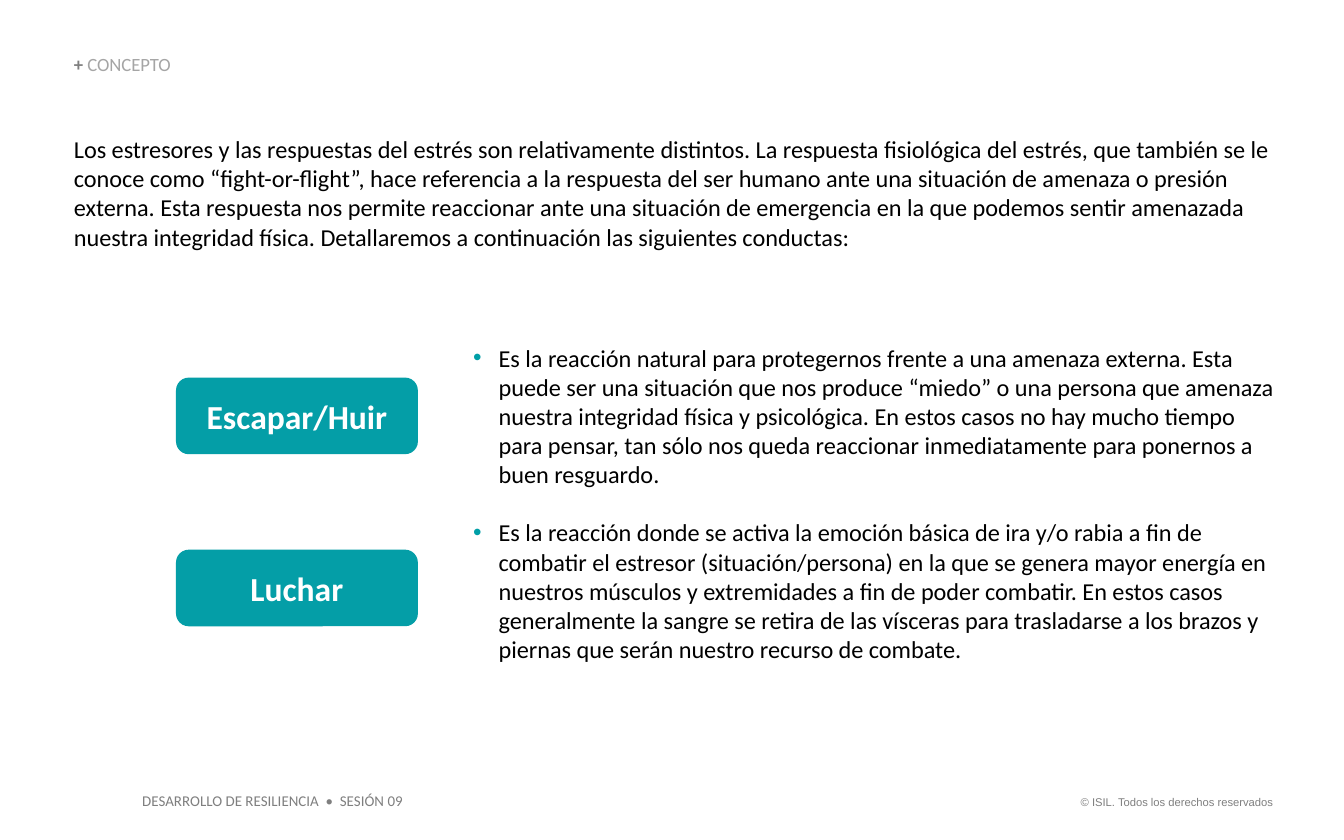
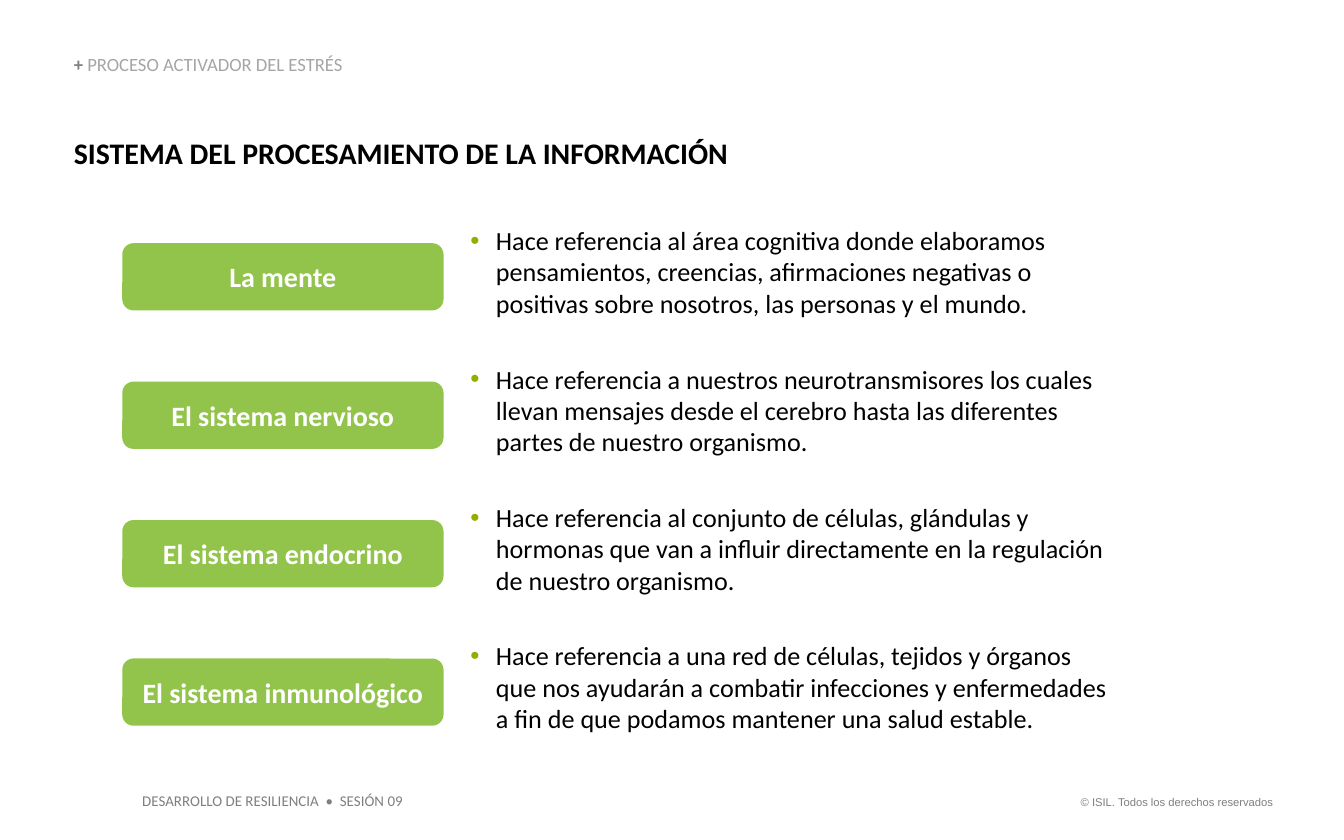
"""Build two slides on stress responses and information processing."""
from dataclasses import dataclass

from lxml import etree
from pptx import Presentation
from pptx import util as u
from pptx.dml.color import RGBColor
from pptx.enum import shapes, text
from pptx.oxml.ns import qn

PX = u.Inches(1) // 100
TITLE_AND_CONTENT, COMPARISON = 1, 4


@dataclass(frozen=True)
class Theme:
    """Colours, fonts and type sizes in points."""
    font: str = "Calibri"
    legal_font: str = "Arial"
    ink: str = "000000"
    white: str = "FFFFFF"
    grey: str = "7F7F7F"
    light_grey: str = "A5A5A5"
    teal: str = "049EA7"
    teal_bullet: str = "009FA7"
    green: str = "92C34B"
    green_bullet: str = "96AD00"
    legal: int = 6
    footer: int = 8
    header: int = 10
    body: int = 13
    list: int = 14
    label: int = 15
    heading: int = 16
    big_label: int = 18


class SlideBuilder:
    """Holds the theme and the current page, and adds elements to it."""

    def __init__(self, deck, theme):
        """Keep the deck and its theme."""
        self.deck, self.theme = deck, theme
        self.page, self.bodies = None, None

    def new_page(self, topic, layout):
        """Start a page with its header and footers."""
        self.page = self.deck.slides.add_slide(self.deck.slide_layouts[layout])
        title, *bodies = self.page.placeholders
        self.bodies = iter(bodies)
        self.header(title, topic)
        self.textbox((788, 587, 169, 20), "© ISIL. Todos los derechos reservados",
                     self.theme.legal, self.theme.grey, font=self.theme.legal_font,
                     align=text.PP_ALIGN.RIGHT, inset=(10, 5))
        self.textbox((96, 584, 214, 24), "DESARROLLO DE RESILIENCIA  •  SESIÓN 09",
                     self.theme.footer, self.theme.grey, inset=(10, 5))

    def place(self, box, area):
        """Move a box to an area given in px."""
        box.left, box.top, box.width, box.height = (n * PX for n in area)

    def frame(self, box, anchor=text.MSO_ANCHOR.TOP, inset=(0, 0),
              fit=text.MSO_AUTO_SIZE.SHAPE_TO_FIT_TEXT):
        """Set wrapping, anchor and margins, and return the text frame."""
        frame = box.text_frame
        frame.word_wrap, frame.auto_size, frame.vertical_anchor = True, fit, anchor
        frame.margin_left = frame.margin_right = inset[0] * PX
        frame.margin_top = frame.margin_bottom = inset[1] * PX
        return frame

    def style(self, para, size, color, bold=False, font=None):
        """Format every run of a paragraph."""
        for span in para.runs:
            span.font.name = font or self.theme.font
            span.font.size, span.font.bold = u.Pt(size), bold
            span.font.color.rgb = RGBColor.from_string(color)

    def header(self, title, topic):
        """Write the topic after a bold plus sign in the title."""
        self.place(title, (55, 41, 266, 15))
        para = self.frame(title, text.MSO_ANCHOR.BOTTOM).paragraphs[0]
        para.text = "+ "
        para.alignment, para.line_spacing = text.PP_ALIGN.LEFT, 0.9
        para.add_run().text = topic
        self.style(para, self.theme.header, self.theme.light_grey)
        plus = para.runs[0].font
        plus.bold, plus.color.rgb = True, RGBColor.from_string(self.theme.grey)

    def textbox(self, area, words, size, color, bold=False, font=None,
                align=text.PP_ALIGN.LEFT, inset=(0, 0)):
        """Add one paragraph of plain text."""
        box = self.page.shapes.add_textbox(*(n * PX for n in area))
        frame = self.frame(box, inset=inset)
        frame.text = words
        frame.paragraphs[0].alignment = align
        self.style(frame.paragraphs[0], size, color, bold, font)

    def bullets(self, area, items, size, color, gap=0):
        """Fill the next body placeholder with a bulleted list."""
        box = next(self.bodies)
        self.place(box, area)
        frame = self.frame(box)
        frame.text = "\n".join(items)
        for index, para in enumerate(frame.paragraphs):
            props = para._p.get_or_add_pPr()
            props.set("marL", str(19 * PX))
            props.set("indent", str(-19 * PX))
            tint = etree.SubElement(props, qn("a:buClr"))
            etree.SubElement(tint, qn("a:srgbClr"), val=color)
            etree.SubElement(props, qn("a:buFont"), typeface=self.theme.legal_font)
            etree.SubElement(props, qn("a:buChar"), char="•")
            para.space_before = u.Pt(gap if index else 0)
            self.style(para, size, self.theme.ink)

    def label(self, area, words, size, color):
        """Add a rounded label with centred bold text."""
        box = self.page.shapes.add_shape(
            shapes.MSO_SHAPE.ROUNDED_RECTANGLE, *(n * PX for n in area))
        box.shadow.inherit = False
        box.fill.solid()
        box.fill.fore_color.rgb = RGBColor.from_string(color)
        box.line.fill.background()
        frame = self.frame(box, text.MSO_ANCHOR.MIDDLE, fit=text.MSO_AUTO_SIZE.NONE)
        frame.text = words
        frame.paragraphs[0].alignment = text.PP_ALIGN.CENTER
        self.style(frame.paragraphs[0], size, self.theme.white, bold=True)


INTRO = (
    "Los estresores y las respuestas del estrés son relativamente distintos. "
    "La respuesta fisiológica del estrés, que también se le conoce como "
    "“fight-or-flight”, hace referencia a la respuesta del ser humano ante una "
    "situación de amenaza o presión externa. Esta respuesta nos permite reaccionar "
    "ante una situación de emergencia en la que podemos sentir amenazada nuestra "
    "integridad física. Detallaremos a continuación las siguientes conductas:")

RESPONSES = {
    "Escapar/Huir":
        "Es la reacción natural para protegernos frente a una amenaza externa. Esta "
        "puede ser una situación que nos produce “miedo” o una persona que amenaza "
        "nuestra integridad física y psicológica. En estos casos no hay mucho tiempo "
        "para pensar, tan sólo nos queda reaccionar inmediatamente para ponernos a "
        "buen resguardo.",
    "Luchar":
        "Es la reacción donde se activa la emoción básica de ira y/o rabia a fin de "
        "combatir el estresor (situación/persona) en la que se genera mayor energía en "
        "nuestros músculos y extremidades a fin de poder combatir. En estos casos "
        "generalmente la sangre se retira de las vísceras para trasladarse a los brazos "
        "y piernas que serán nuestro recurso de combate.",
}

SYSTEMS = {
    "La mente":
        "Hace referencia al área cognitiva donde elaboramos pensamientos, creencias, "
        "afirmaciones negativas o positivas sobre nosotros, las personas y el mundo.",
    "El sistema nervioso":
        "Hace referencia a nuestros neurotransmisores los cuales llevan mensajes desde "
        "el cerebro hasta las diferentes partes de nuestro organismo.",
    "El sistema endocrino":
        "Hace referencia al conjunto de células, glándulas y hormonas que van a influir "
        "directamente en la regulación de nuestro organismo.",
    "El sistema inmunológico":
        "Hace referencia a una red de células, tejidos y órganos que nos ayudarán a "
        "combatir infecciones y enfermedades a fin de que podamos mantener una salud "
        "estable.",
}


def add_concept(builder):
    """Add the page on the two stress responses."""
    theme = builder.theme
    builder.new_page("CONCEPTO", TITLE_AND_CONTENT)
    builder.textbox((55, 100, 894, 88), INTRO, theme.body, theme.ink)
    builder.bullets((352, 255, 596, 251), RESPONSES.values(), theme.body,
                    theme.teal_bullet, gap=15.6)
    for row, name in enumerate(RESPONSES):
        builder.label((131, 281 + 128 * row, 180, 57), name, theme.big_label, theme.teal)


def add_process(builder):
    """Add the page on the four information systems."""
    theme = builder.theme
    builder.new_page("PROCESO ACTIVADOR DEL ESTRÉS", COMPARISON)
    builder.textbox((55, 100, 788, 27), "SISTEMA DEL PROCESAMIENTO DE LA INFORMACIÓN",
                    theme.heading, theme.ink, bold=True)
    for row, (name, meaning) in enumerate(SYSTEMS.items()):
        top = 181 + 103 * row
        builder.label((91, top, 239, 50), name, theme.label, theme.green)
        builder.bullets((350, top - 14, 482, 71), [meaning], theme.list,
                        theme.green_bullet)


def main():
    """Build and save the deck."""
    deck = Presentation()
    deck.slide_width, deck.slide_height = 1000 * PX, 625 * PX
    builder = SlideBuilder(deck, Theme())
    add_concept(builder)
    add_process(builder)
    deck.save("out.pptx")


if __name__ == "__main__":
    main()
